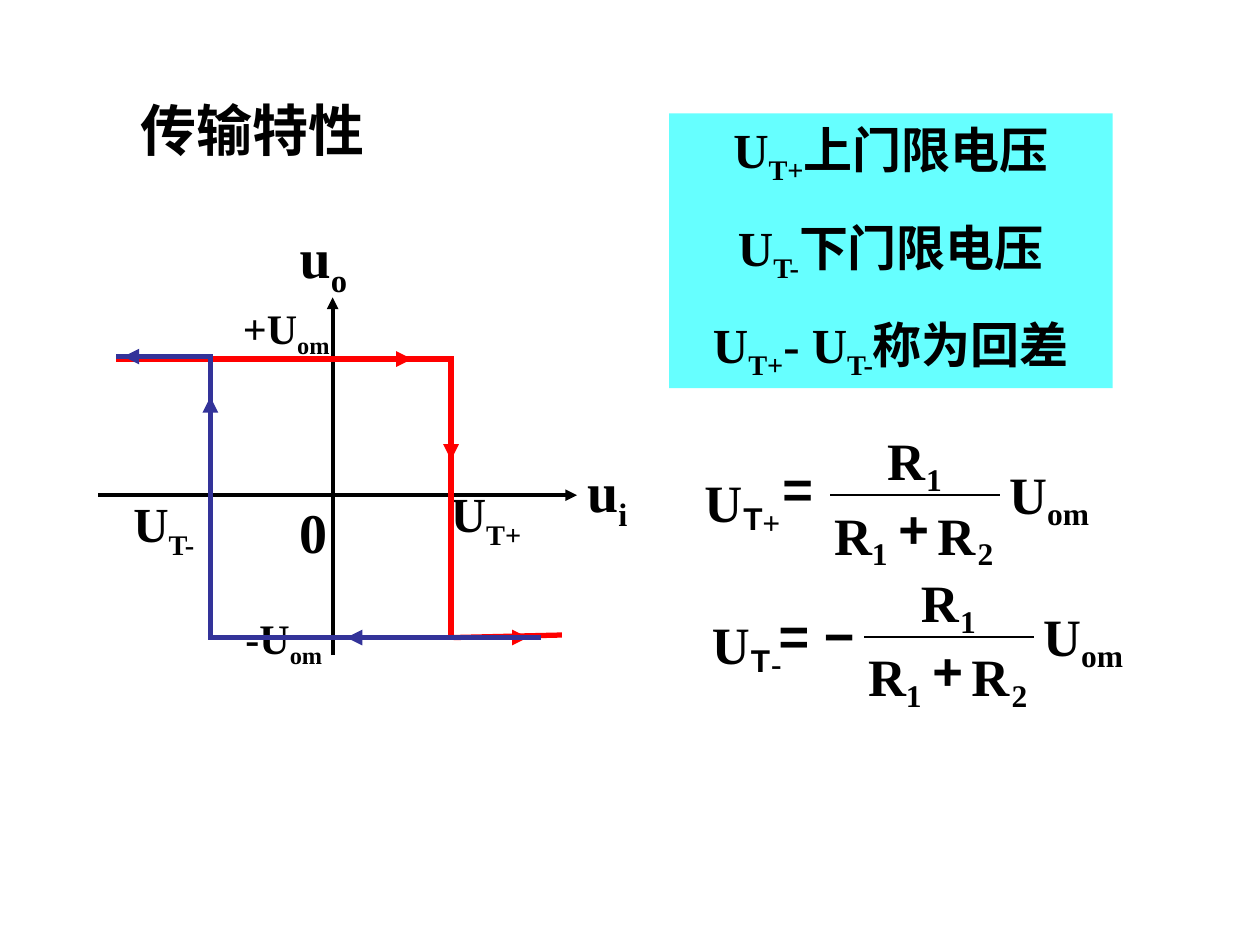
from dataclasses import dataclass
from typing import Optional

from pptx import Presentation
from pptx.dml.color import RGBColor
from pptx.enum.shapes import MSO_CONNECTOR, MSO_SHAPE
from pptx.enum.text import MSO_ANCHOR, MSO_AUTO_SIZE, PP_ALIGN
from pptx.oxml.ns import qn
from pptx.oxml.xmlchemy import OxmlElement
from pptx.util import Inches, Pt

BLACK = RGBColor(0x00, 0x00, 0x00)
RED = RGBColor(0xFF, 0x00, 0x00)
BLUE = RGBColor(0x33, 0x33, 0x99)
CYAN = RGBColor(0x66, 0xFF, 0xFF)
SERIF = "Times New Roman"
SANS = "Arial"
COLUMNS, ROWS = 100, 75

presentation = Presentation()
presentation.slide_width = Inches(10)
presentation.slide_height = Inches(7.5)
slide = presentation.slides.add_slide(presentation.slide_layouts[6])


@dataclass(frozen=True)
class Label:
    text: str
    column: float
    row: float
    width: float
    height: float
    size: float
    centred: bool = False
    wrap: bool = True


@dataclass(frozen=True)
class Line:
    start: tuple[float, float]
    end: tuple[float, float]
    color: RGBColor
    weight: float = 3
    arrow: bool = False


@dataclass(frozen=True)
class Glyph:
    text: str
    column: float
    row: float
    width: float
    large: bool = True
    font: str = SERIF


@dataclass(frozen=True)
class Formula:
    row: float
    label_column: float
    fraction_column: float
    sign: Glyph
    relation: Glyph


def across(columns: float) -> int:
    return round(presentation.slide_width * columns / COLUMNS)


def down(rows: float) -> int:
    return round(presentation.slide_height * rows / ROWS)


def add_text(text: str, *, column: float, row: float, width: float, height: float,
             size: float, font: str = SERIF, centred: bool = False, wrap: bool = True,
             inset: bool = True, fill: Optional[RGBColor] = None) -> None:
    box = (across(column), down(row), across(width), down(height))
    if fill is None:
        shape = slide.shapes.add_textbox(*box)
    else:
        shape = slide.shapes.add_shape(MSO_SHAPE.RECTANGLE, *box)
        shape.shadow.inherit = False
        shape.fill.solid()
        shape.fill.fore_color.rgb = fill
        shape.line.fill.background()
    frame = shape.text_frame
    frame.word_wrap = wrap
    frame.auto_size = MSO_AUTO_SIZE.SHAPE_TO_FIT_TEXT
    frame.vertical_anchor = MSO_ANCHOR.TOP
    frame.margin_left = frame.margin_right = Inches(0.1 if inset else 0)
    frame.margin_top = frame.margin_bottom = Inches(0.05 if inset else 0)
    for index, line in enumerate(text.split("\n")):
        paragraph = frame.add_paragraph() if index else frame.paragraphs[0]
        paragraph.alignment = PP_ALIGN.CENTER if centred else PP_ALIGN.LEFT
        if index:
            paragraph.space_before = Pt(size * 0.625)
        for position, part in enumerate(line.replace("]", "[").split("[")):
            if not part:
                continue
            run = paragraph.add_run()
            run.text = part
            run.font.size = Pt(size)
            run.font.name = font
            run.font.bold = True
            run.font.color.rgb = BLACK
            if position % 2:
                run.font._element.set("baseline", "-25000")


def add_label(label: Label) -> None:
    add_text(label.text, column=label.column, row=label.row, width=label.width,
             height=label.height, size=label.size, centred=label.centred, wrap=label.wrap)


def add_line(line: Line) -> None:
    connector = slide.shapes.add_connector(
        MSO_CONNECTOR.STRAIGHT, across(line.start[0]), down(line.start[1]),
        across(line.end[0]), down(line.end[1]))
    connector.line.color.rgb = line.color
    connector.line.width = Pt(line.weight)
    properties = connector._element.spPr
    if line.arrow:
        arrowhead = OxmlElement("a:tailEnd")
        arrowhead.set("type", "triangle")
        properties.find(qn("a:ln")).append(arrowhead)
    properties.append(OxmlElement("a:effectLst"))


def add_glyph(glyph: Glyph, column: float, row: float) -> None:
    add_text(glyph.text, column=column + glyph.column, row=row + glyph.row,
             width=glyph.width, height=5 if glyph.large else 3,
             size=30 if glyph.large else 18, font=glyph.font, wrap=False, inset=False)


def add_formula(formula: Formula) -> None:
    start = formula.fraction_column
    add_line(Line((start, formula.row), (start + 13.5, formula.row), BLACK, 1.25))
    for glyph in FRACTION:
        add_glyph(glyph, start, formula.row)
    for glyph in (*THRESHOLD, formula.sign, formula.relation):
        add_glyph(glyph, formula.label_column, formula.row)


AXES = [
    Line((7.8, 39.3), (45.8, 39.3), BLACK, 2.25, True),
    Line((26.4, 52), (26.4, 23.6), BLACK, 2.25, True),
]
LABELS = [
    Label("传输特性", 10.2, 7.1, 21.5, 6.4, 32),
    Label("u[o]", 22.8, 17.2, 9.4, 7.1, 32),
    Label("u[i]", 45.6, 35.7, 5.2, 7.1, 32, centred=True, wrap=False),
    Label("0", 21, 39, 7.7, 6.4, 32, centred=True),
    Label("+U[om]", 18.3, 23.5, 12.3, 5.6, 24),
    Label("-U[om]", 18.5, 48.1, 12.3, 5.6, 24),
    Label("U[T+]", 34.8, 37.9, 9.2, 6.3, 28),
    Label("U[T-]", 9.6, 38.7, 9.2, 6.3, 28),
]
HYSTERESIS = [
    Line((9.2, 28.5), (36, 28.5), RED),
    Line((27.7, 28.5), (32.7, 28.5), RED, arrow=True),
    Line((35.8, 28.7), (35.8, 50.8), RED),
    Line((35.8, 31.5), (35.8, 36.5), RED, arrow=True),
    Line((36, 50.6), (44.6, 50.4), RED),
    Line((36.9, 50.6), (41.9, 50.6), RED, arrow=True),
    Line((16.9, 28.3), (9.2, 28.3), BLUE),
    Line((15.2, 28.3), (9.8, 28.3), BLUE, arrow=True),
    Line((42.9, 50.6), (16.5, 50.6), BLUE),
    Line((32.9, 50.6), (27.5, 50.6), BLUE, arrow=True),
    Line((16.7, 50.4), (16.7, 28.5), BLUE),
    Line((16.7, 36.9), (16.7, 31.5), BLUE, arrow=True),
]
FRACTION = [
    Glyph("om", 17.2, -0.1, 3.5, large=False),
    Glyph("2", 11.7, 3.1, 1.3, large=False),
    Glyph("1", 3.3, 3.1, 1.3, large=False),
    Glyph("1", 7.6, -2.8, 1.3, large=False),
    Glyph("U", 14.2, -2.6, 3),
    Glyph("R", 8.5, 0.6, 3),
    Glyph("R", 0.3, 0.6, 3),
    Glyph("R", 4.5, -5.3, 3),
    Glyph("+", 5.4, 0.1, 2.4, font=SANS),
]
THRESHOLD = [
    Glyph("U", 0, -2, 3),
    Glyph("Τ", 3.1, 0.3, 1.5, large=False, font=SANS),
]
FORMULAS = [
    Formula(39.3, 55.9, 65.9, Glyph("+", 4.6, 0.6, 1.4, large=False),
            Glyph("=", 6.2, -3.1, 3.3, font=SANS)),
    Formula(50.55, 56.5, 68.6, Glyph("-", 4.7, 0.6, 0.8, large=False),
            Glyph("= −", 5.3, -2.7, 6.8, font=SANS)),
]

for axis in AXES:
    add_line(axis)
for label in LABELS:
    add_label(label)
for segment in HYSTERESIS:
    add_line(segment)
add_text("U[T+]上门限电压\nU[T-]下门限电压\nU[T+]- U[T-]称为回差", column=53.1, row=9,
         width=35.2, height=21.8, size=28, centred=True, fill=CYAN)
for formula in FORMULAS:
    add_formula(formula)

presentation.save("out.pptx")
